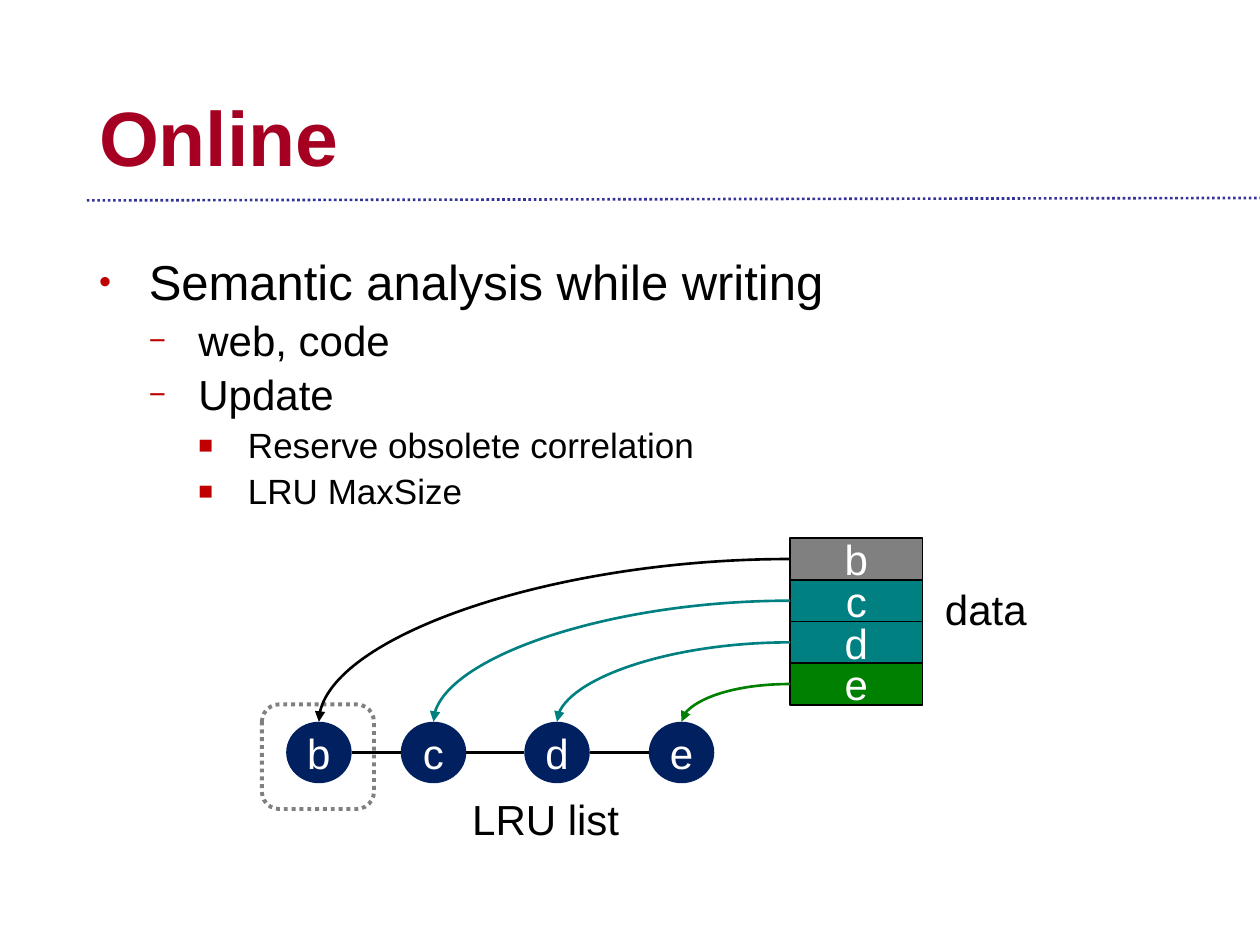
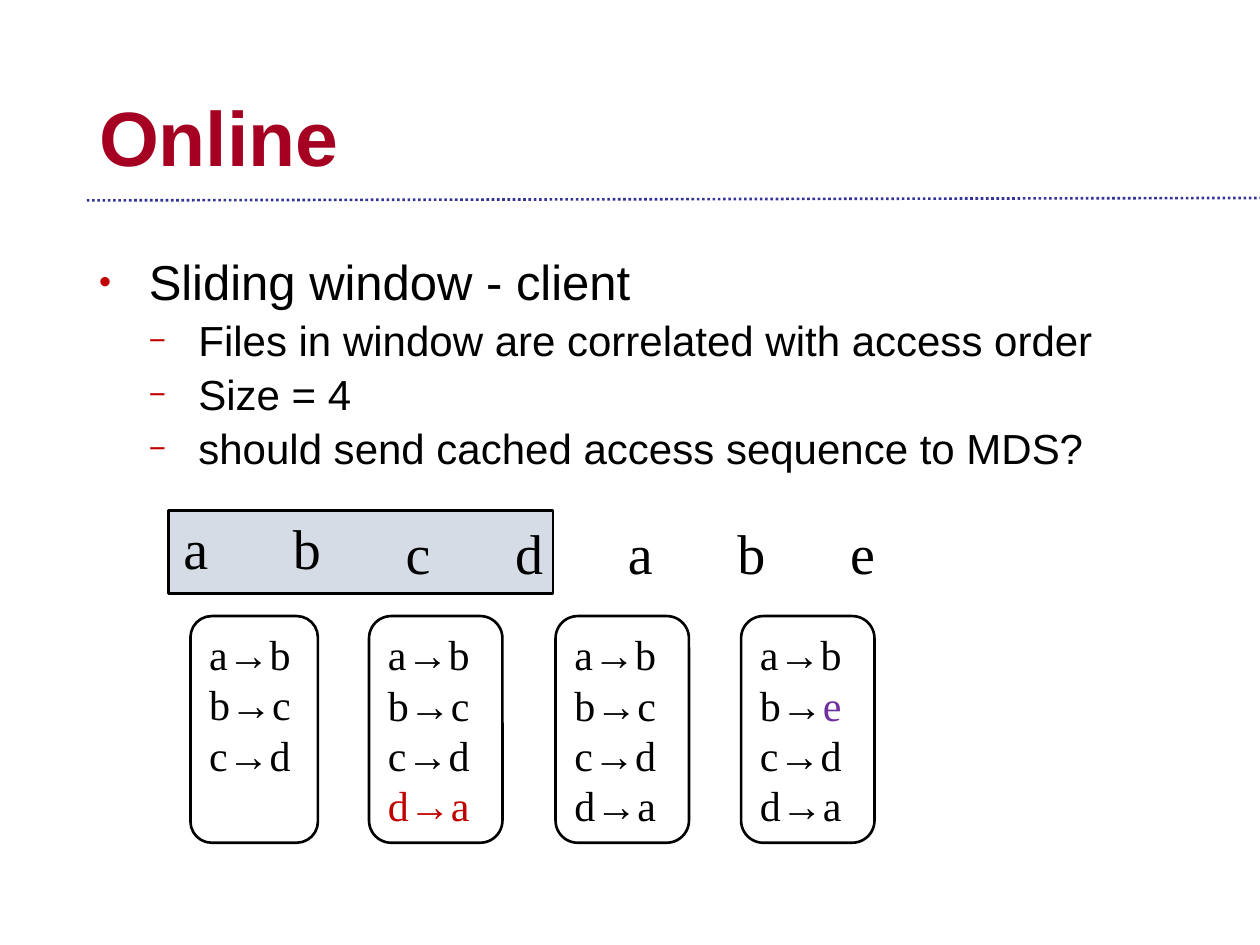
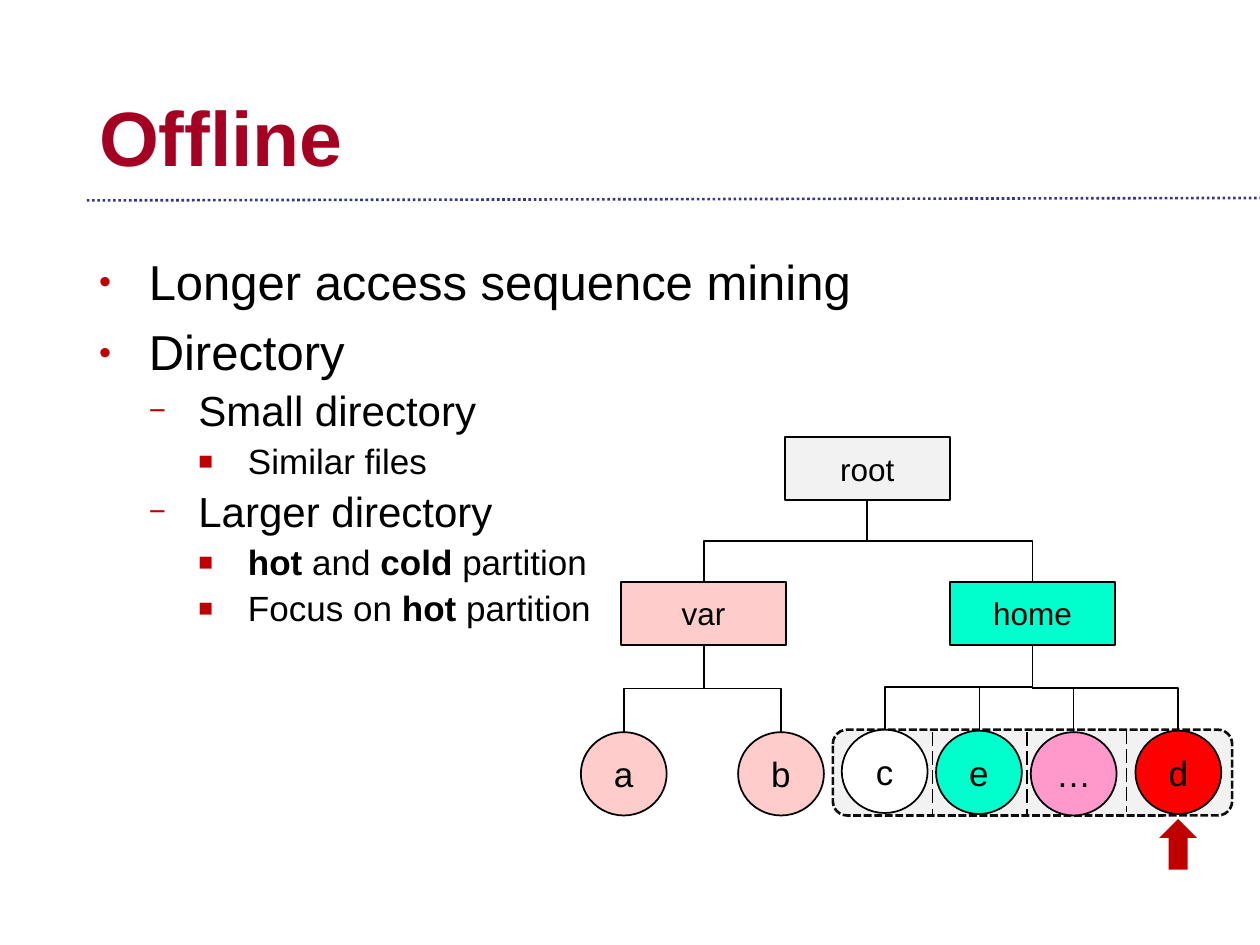
from lxml.etree import SubElement
from pptx import Presentation
from pptx.dml.color import RGBColor
from pptx.enum.dml import MSO_LINE as Dash
from pptx.enum.shapes import MSO_CONNECTOR as Link, MSO_SHAPE as Kind
from pptx.enum.text import MSO_ANCHOR as Anchor, PP_ALIGN as Align
from pptx.oxml.ns import qn
from pptx.util import Cm, Pt

BLACK = RGBColor(0x00, 0x00, 0x00)
WHITE = RGBColor(0xFF, 0xFF, 0xFF)
CRIMSON = RGBColor(0xA5, 0x00, 0x21)
RED = RGBColor(0xC0, 0x00, 0x00)
INDIGO = RGBColor(0x33, 0x33, 0x99)
NAVY = RGBColor(0x00, 0x20, 0x60)
GRAY = RGBColor(0x80, 0x80, 0x80)
TEAL = RGBColor(0x00, 0x80, 0x80)
GREEN = RGBColor(0x00, 0x80, 0x00)
STEEL = RGBColor(0xD6, 0xDC, 0xE5)
PURPLE = RGBColor(0x70, 0x30, 0xA0)
SMOKE = RGBColor(0xF2, 0xF2, 0xF2)
INK = RGBColor(0x0D, 0x0D, 0x0D)
PINK = RGBColor(0xFF, 0xCC, 0xCC)
MINT = RGBColor(0x00, 0xFF, 0xCC)
ROSE = RGBColor(0xFF, 0x99, 0xCC)
BRIGHT_RED = RGBColor(0xFF, 0x00, 0x00)

SANS, SERIF = "Arial", "Times New Roman"
LEVELS = [("•", 28, 10), ("−", 24, 5), ("■", 20, 5)]
INDENT = 1.0

UPDATE_POINTS = [
    (0, ["Semantic analysis while writing"]),
    (1, ["web, code"]),
    (1, ["Update"]),
    (2, ["Reserve obsolete correlation"]),
    (2, ["LRU MaxSize"]),
]
CACHE = [("b", 5.77, GRAY, BLACK), ("c", 8.08, TEAL, TEAL),
         ("d", 10.57, TEAL, TEAL), ("e", 13.08, GREEN, GREEN)]

WINDOW_POINTS = [
    (0, ["Sliding window - client"]),
    (1, ["Files in window are correlated with access order"]),
    (1, ["Size = 4"]),
    (1, ["should send cached access sequence to MDS?"]),
]
ACCESSES = "abcdabe"
RULE_CARDS = [
    (3.84, 2.57, [["a→b"], ["b→c"], ["c→d"]]),
    (7.44, 2.69, [["a→b"], ["b→c"], ["c→d"], [("d→a", RED)]]),
    (11.2, 2.69, [["a→b"], ["b→c"], ["c→d"], ["d→a"]]),
    (14.94, 2.69, [["a→b"], ["b→", ("e", PURPLE)], ["c→d"], ["d→a"]]),
]

DIRECTORY_POINTS = [
    (0, ["Longer access sequence mining"]),
    (0, ["Directory"]),
    (1, ["Small directory"]),
    (2, ["Similar files"]),
    (1, ["Larger directory"]),
    (2, [("hot",), " and ", ("cold",), " partition"]),
    (2, ["Focus on ", ("hot",), " partition"]),
]
FOLDERS = [("root", 15.82, 8.81, SMOKE), ("var", 12.52, 11.73, PINK),
           ("home", 19.15, 11.73, MINT)]
FILES = [("a", 11.71, 14.76, PINK), ("b", 14.88, 14.76, PINK),
         ("c", 16.97, 14.71, WHITE), ("d", 22.89, 14.73, BRIGHT_RED),
         ("e", 18.87, 14.73, MINT), ("…", 20.78, 14.76, ROSE)]
BRANCHES = [("root", "var", 1), ("root", "home", 1), ("var", "a", 1),
            ("var", "b", 1), ("home", "c", 1), ("home", "d", 1),
            ("home", "e", 0.5), ("home", "…", 0.5)]
DIVIDERS = [(18.8, 14.76), (20.7, 14.76), (22.71, 14.71)]


def add_span(para, text, size, color=BLACK, font=SANS, bold=False):
    span = para.add_run()
    span.text = text
    span.font.name = font
    span.font.size = Pt(size)
    span.font.bold = bold
    span.font.color.rgb = color


def add_text(page, area, text="", size=24, color=BLACK, bold=False):
    box = page.shapes.add_textbox(*map(Cm, area))
    frame = box.text_frame
    frame.word_wrap = True
    if text:
        add_span(frame.paragraphs[0], text, size, color, bold=bold)
    return frame


def style_line(line, color, width, dash=None):
    line.color.rgb = color
    line.width = Pt(width)
    if dash:
        line.dash_style = dash


def add_shape(page, kind, area, fill=None, line=None, width=1, dash=None):
    shape = page.shapes.add_shape(kind, *map(Cm, area))
    shape.shadow.inherit = False
    if fill is None:
        shape.fill.background()
    else:
        shape.fill.solid()
        shape.fill.fore_color.rgb = fill
    if line is None:
        shape.line.fill.background()
    else:
        style_line(shape.line, line, width, dash)
    return shape


def add_label(shape, text, size, color=BLACK, font=SANS):
    frame = shape.text_frame
    frame.word_wrap = False
    frame.vertical_anchor = Anchor.MIDDLE
    para = frame.paragraphs[0]
    para.alignment = Align.CENTER
    add_span(para, text, size, color, font)


def add_line(page, start, end, color=BLACK, width=1.5, dash=None, kind=Link.STRAIGHT):
    line = page.shapes.add_connector(kind, *map(Cm, start + end))
    style_line(line.line, color, width, dash)
    SubElement(line.element.spPr, qn("a:effectLst"))
    return line


def add_arc(page, start, end, color):
    arc = add_line(page, start, end, color, kind=Link.CURVE)
    arc.element.spPr.find(qn("a:prstGeom")).set("prst", "curvedConnector2")
    SubElement(arc.line._get_or_add_ln(), qn("a:tailEnd"), type="triangle")


def add_branch(page, start, end, width):
    (x1, y1), (x2, y2) = start, end
    drop, spread = y2 - y1, abs(x2 - x1)
    left, right = (x1 + x2 - drop) / 2, (x1 + x2 + drop) / 2
    top, bottom = (y1 + y2 - spread) / 2, (y1 + y2 + spread) / 2
    turn = 90
    if x2 > x1:
        left, right, turn = right, left, 270
    branch = add_line(page, (left, top), (right, bottom), width=width, kind=Link.ELBOW)
    branch.element.spPr.find(qn("a:xfrm")).set("rot", str(turn * 60000))


def add_bullet(para, level):
    mark, size, gap = LEVELS[level]
    para.level = level
    para.line_spacing = 0.9
    para.space_before = Pt(gap)
    props = para._p.get_or_add_pPr()
    props.set("marL", str(Cm(INDENT * (level + 1))))
    props.set("indent", str(-Cm(INDENT)))
    color = SubElement(props, qn("a:buClr"))
    SubElement(color, qn("a:srgbClr"), val=str(RED))
    SubElement(props, qn("a:buSzPct"), val="70000")
    SubElement(props, qn("a:buFont"), typeface=SANS)
    SubElement(props, qn("a:buChar"), char=mark)
    return size


def add_page(deck, title, points):
    page = deck.slides.add_slide(deck.slide_layouts[6])
    add_line(page, (1.75, 4.04), (25.4, 3.99), INDIGO, 1.5, Dash.ROUND_DOT)
    heading = add_text(page, (1.75, 1.02, 21.9, 3.68), title, 44, CRIMSON, True)
    heading.vertical_anchor = Anchor.MIDDLE
    heading.paragraphs[0].line_spacing = 0.9
    body = add_text(page, (1.75, 5.08, 21.9, 12.09))
    for index, (level, parts) in enumerate(points):
        para = body.add_paragraph() if index else body.paragraphs[0]
        size = add_bullet(para, level)
        for part in parts:
            bold = isinstance(part, tuple)
            add_span(para, part[0] if bold else part, size, bold=bold)
    return page


def draw_lru(page):
    node_top, node_wide, node_high = 14.55, 1.32, 1.24
    cell_left, cell_top, cell_wide, cell_high = 15.93, 10.85, 2.67, 0.84
    middle = node_top + node_high / 2
    add_shape(page, Kind.FLOWCHART_ALTERNATE_PROCESS, (5.28, 14.2, 2.26, 2.11),
              None, GRAY, 2.25, Dash.ROUND_DOT)
    for row, (name, left, fill, arc_color) in enumerate(CACHE):
        top = cell_top + row * cell_high
        cell = add_shape(page, Kind.RECTANGLE, (cell_left, top, cell_wide, cell_high),
                         fill, BLACK)
        add_label(cell, name, 24, WHITE)
        node = add_shape(page, Kind.OVAL, (left, node_top, node_wide, node_high), NAVY)
        add_label(node, name, 24, WHITE)
        add_arc(page, (cell_left, top + cell_high / 2),
                (left + node_wide / 2, node_top), arc_color)
    for (_, left, *_), (_, following, *_) in zip(CACHE, CACHE[1:]):
        add_line(page, (left + node_wide, middle), (following, middle))
    add_text(page, (18.8, 11.63, 2.59, 1.27), "data")
    add_text(page, (9.27, 15.88, 5.59, 1.27), "LRU list")


def draw_window(page):
    add_shape(page, Kind.RECTANGLE, (3.4, 10.29, 7.75, 1.68), STEEL, BLACK, 1.5)
    for index, name in enumerate(ACCESSES):
        top = 10.19 if index < 2 else 10.29
        access = add_shape(page, Kind.OVAL, (3.1 + 2.24 * index, top, 1.7, 1.68))
        add_label(access, name, 32, font=SERIF)
    for left, width, rules in RULE_CARDS:
        card = add_shape(page, Kind.ROUNDED_RECTANGLE, (left, 12.42, width, 4.57),
                         None, BLACK, 1.5)
        frame = card.text_frame
        frame.vertical_anchor = Anchor.TOP
        for index, parts in enumerate(rules):
            para = frame.add_paragraph() if index else frame.paragraphs[0]
            para.alignment = Align.LEFT
            for part in parts:
                text, color = part if isinstance(part, tuple) else (part, BLACK)
                add_span(para, text, 24, color, SERIF)


def draw_tree(page):
    add_shape(page, Kind.FLOWCHART_ALTERNATE_PROCESS, (16.79, 14.71, 8.05, 1.73),
              SMOKE, INK, 1.5, Dash.SQUARE_DOT)
    tops, bottoms = {}, {}
    for nodes, kind, wide, high, size in [(FOLDERS, Kind.RECTANGLE, 3.33, 1.27, 18),
                                          (FILES, Kind.OVAL, 1.73, 1.68, 20)]:
        for name, left, top, fill in nodes:
            node = add_shape(page, kind, (left, top, wide, high), fill, BLACK)
            add_label(node, name, size)
            tops[name] = (left + wide / 2, top)
            bottoms[name] = (left + wide / 2, top + high)
    for parent, child, width in BRANCHES:
        add_branch(page, bottoms[parent], tops[child], width)
    add_shape(page, Kind.UP_ARROW, (23.37, 16.51, 0.76, 1.02), RED)
    for left, top in DIVIDERS:
        add_line(page, (left, top), (left, top + 1.65), BLACK, 1, Dash.LONG_DASH)


deck = Presentation()
deck.slide_width, deck.slide_height = Cm(25.4), Cm(19.05)
for title, points, draw in [("Online", UPDATE_POINTS, draw_lru),
                            ("Online", WINDOW_POINTS, draw_window),
                            ("Offline", DIRECTORY_POINTS, draw_tree)]:
    draw(add_page(deck, title, points))
deck.save("out.pptx")
